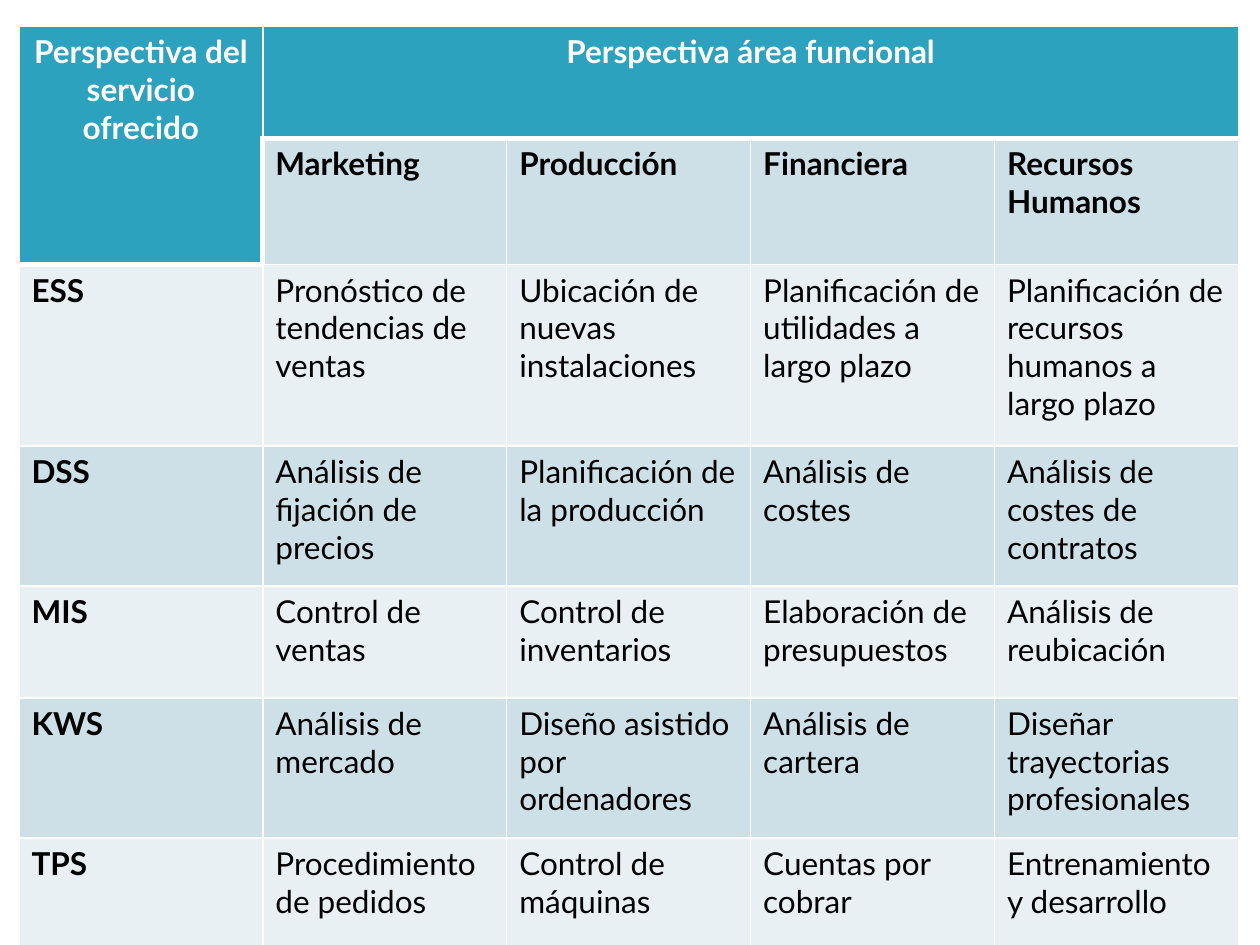
from lxml.etree import SubElement
from pptx import Presentation
from pptx.dml.color import RGBColor
from pptx.enum.text import PP_ALIGN
from pptx.oxml.ns import qn
from pptx.util import Inches, Pt

COLORS = {
    "header": "2DA2BF",
    "dark band": "CDE0E8",
    "light band": "E8F0F4",
    "white": "FFFFFF",
    "black": "000000",
}
ROWS = [
    ["Perspectiva del servicio ofrecido", "Perspectiva área funcional", "", "", ""],
    ["", "Marketing", "Producción", "Financiera", "Recursos Humanos"],
    ["ESS", "Pronóstico de tendencias de ventas", "Ubicación de nuevas instalaciones",
     "Planificación de utilidades a largo plazo",
     "Planificación de recursos humanos a largo plazo"],
    ["DSS", "Análisis de fijación de precios", "Planificación de la producción",
     "Análisis de costes", "Análisis de costes de contratos"],
    ["MIS", "Control de ventas", "Control de inventarios",
     "Elaboración de presupuestos", "Análisis de reubicación"],
    ["KWS", "Análisis de mercado", "Diseño asistido por ordenadores",
     "Análisis de cartera", "Diseñar trayectorias profesionales"],
    ["TPS", "Procedimiento de pedidos", "Control de máquinas",
     "Cuentas por cobrar", "Entrenamiento y desarrollo"],
]
ROW_HEIGHTS = [0.89, 0.89, 1.44, 1.11, 0.89, 1.11, 0.89]
LEFT, TOP, WIDTH = 0.15, 0.21, 9.68
THIN, THICK = 1, 3


def is_header(row, column):
    return row == 0 or (row == 1 and column == 0)


def border_widths(row, column):
    below_header = row > 0 and is_header(row - 1, column) and not is_header(row, column)
    above_body = is_header(row, column) and not is_header(row + 1, column)
    beside_header = (row, column) == (1, 1)
    return {
        "a:lnL": THICK if beside_header else THIN,
        "a:lnR": THIN,
        "a:lnT": THICK if below_header else THIN,
        "a:lnB": THICK if above_body else THIN,
    }


def set_borders(cell, widths):
    properties = cell._tc.get_or_add_tcPr()
    for tag, width in widths.items():
        line = SubElement(properties, qn(tag), w=str(Pt(width)))
        fill = SubElement(line, qn("a:solidFill"))
        SubElement(fill, qn("a:srgbClr"), val=COLORS["white"])


def format_cell(cell, row, column, text):
    header = is_header(row, column)
    band = "dark band" if row % 2 else "light band"
    set_borders(cell, border_widths(row, column))
    cell.fill.solid()
    cell.fill.fore_color.rgb = RGBColor.from_string(COLORS["header" if header else band])
    if not text:
        return
    cell.text = text
    paragraph = cell.text_frame.paragraphs[0]
    paragraph.alignment = PP_ALIGN.CENTER if header else PP_ALIGN.LEFT
    font = paragraph.font
    font.name = "Lato"
    font.size = Pt(18)
    font.bold = row < 2 or column == 0
    font.color.rgb = RGBColor.from_string(COLORS["white" if header else "black"])


def main():
    presentation = Presentation()
    presentation.slide_width = Inches(10)
    presentation.slide_height = Inches(7.5)
    slide = presentation.slides.add_slide(presentation.slide_layouts[6])
    column_count = len(ROWS[0])
    table = slide.shapes.add_table(
        len(ROWS), column_count, Inches(LEFT), Inches(TOP),
        Inches(WIDTH), Inches(sum(ROW_HEIGHTS))).table
    for column in table.columns:
        column.width = Inches(WIDTH / column_count)
    for row, height in zip(table.rows, ROW_HEIGHTS):
        row.height = Inches(height)
    for row, texts in enumerate(ROWS):
        for column, text in enumerate(texts):
            format_cell(table.cell(row, column), row, column, text)
    table.cell(0, 0).merge(table.cell(1, 0))
    table.cell(0, 1).merge(table.cell(0, column_count - 1))
    presentation.save("out.pptx")


if __name__ == "__main__":
    main()
